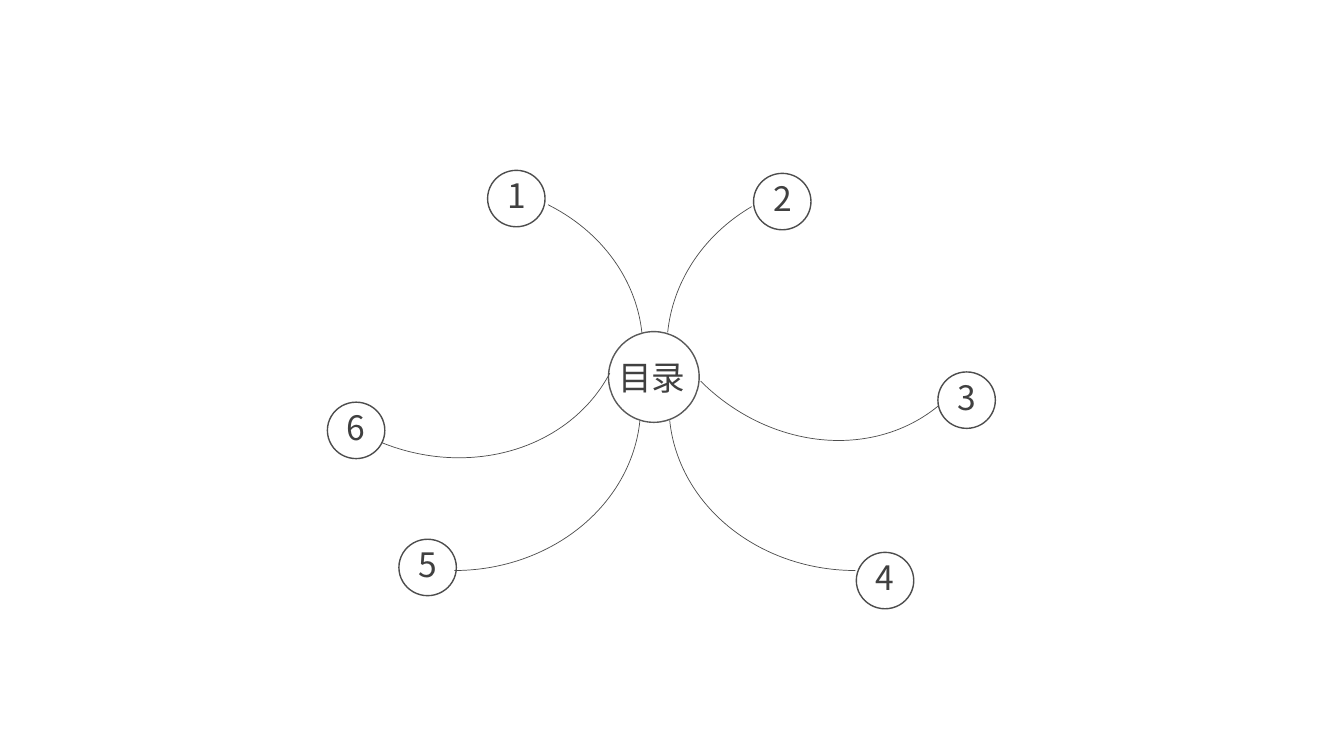
import lxml.etree
import pptx
import pptx.dml.color
import pptx.enum.shapes
import pptx.enum.text
import pptx.oxml.ns
import pptx.util

WIDE, HIGH = 13.34, 7.5
COLS, ROWS = 133.4, 75
KIND = pptx.enum.shapes.MSO_SHAPE


def tint(code):
    return pptx.dml.color.RGBColor.from_string(code)


class Deck:
    font = "Noto Sans CJK SC"
    size = 24
    ink = "404040"
    line = "4D4D4D"

    def __init__(self):
        self.show = pptx.Presentation()
        self.show.slide_width = pptx.util.Inches(WIDE)
        self.show.slide_height = pptx.util.Inches(HIGH)
        self.slide = self.show.slides.add_slide(self.show.slide_layouts[6])

    def cells(self, col, row, wide, high):
        across = self.show.slide_width / COLS
        down = self.show.slide_height / ROWS
        return [round(n) for n in (col * across, row * down, wide * across, high * down)]

    def shape(self, home, kind, box, line, width):
        item = home.add_shape(kind, *self.cells(*box))
        item.shadow.inherit = False
        item.fill.background()
        item.line.color.rgb = tint(line)
        item.line.width = pptx.util.Pt(width)
        return item

    def label(self, home, box, text):
        frame = home.add_textbox(*self.cells(*box)).text_frame
        frame.word_wrap = True
        frame.auto_size = pptx.enum.text.MSO_AUTO_SIZE.SHAPE_TO_FIT_TEXT
        run = frame.paragraphs[0].add_run()
        run.text = text
        run.font.name = self.font
        run.font.size = pptx.util.Pt(self.size)
        run.font.color.rgb = tint(self.ink)
        east = lxml.etree.SubElement(run.font._element, pptx.oxml.ns.qn("a:ea"))
        east.set("typeface", self.font)

    def arc(self, col, row, high, start, end, turn):
        item = self.shape(self.slide.shapes, KIND.ARC, (col, row, 37, high), self.line, 0.5)
        for index, angle in enumerate((start, end)):
            item.adjustments[index] = angle * 60000 / 100000
        item.rotation = turn

    def node(self, text, col, row):
        group = self.slide.shapes.add_group_shape().shapes
        self.shape(group, KIND.OVAL, (col, row, 5.7, 5.6), self.line, 1)
        self.label(group, (col + 0.95, row, 3.9, 5), text)

    def hub(self, text, col, row):
        self.label(self.slide.shapes, (col, row + 2, 9.3, 5), text)
        self.shape(self.slide.shapes, KIND.OVAL, (col, row, 9, 9), "595959", 1)


ARCS = [
    (26.8, 18.2, 32.7, 302.6, 355.2, 0),
    (66.2, 17.8, 33.4, 184.7, 234.2, 0),
    (26.6, 23.9, 32.7, 4.5, 90, 0),
    (66.4, 23.9, 32.7, 90, 175.5, 0),
    (25.5, 12.4, 32.7, 4.5, 90, 22),
    (62.6, 9.9, 32.7, 4.5, 90, 45),
]
NODES = [
    ("1", 48.4, 16.9),
    ("2", 74.8, 17.2),
    ("3", 93.1, 36.9),
    ("4", 85, 54.8),
    ("5", 39.6, 53.5),
    ("6", 32.5, 39.9),
]


def main():
    deck = Deck()
    deck.hub("目录", 60.4, 32.9)
    for arc in ARCS:
        deck.arc(*arc)
    for node in NODES:
        deck.node(*node)
    deck.show.save("out.pptx")


if __name__ == "__main__":
    main()
